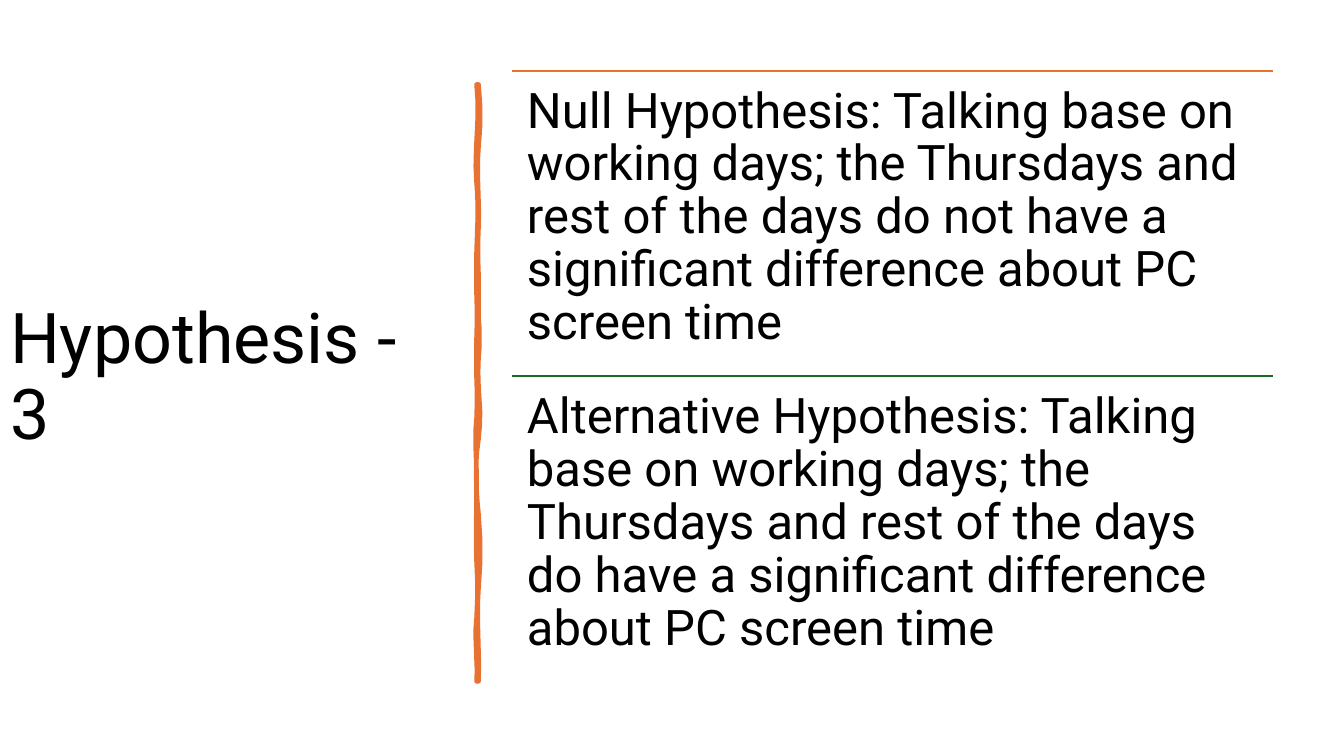
from lxml import etree
from pptx import Presentation
from pptx.dml.color import RGBColor
from pptx.enum import shapes, text
from pptx.oxml import ns
from pptx.util import Cm, Pt

ORANGE = RGBColor(0xE9, 0x71, 0x32)
GREEN = RGBColor(0x19, 0x6B, 0x24)
BLACK = RGBColor(0, 0, 0)


def write(frame, words, size):
    frame.word_wrap = True
    paragraph = frame.paragraphs[0]
    paragraph.alignment = text.PP_ALIGN.LEFT
    paragraph.line_spacing = 0.9
    run = paragraph.add_run()
    run.text = words
    run.font.name = "Roboto"
    run.font.size = Pt(size)
    run.font.color.rgb = BLACK


def wavy_edge(x, heights, bends, steps=6):
    points = [(x, heights[0])]
    for top, bottom, (first, second) in zip(heights, heights[1:], bends):
        for step in range(1, steps + 1):
            t = step / steps
            bend = 3 * t * (1 - t) * ((1 - t) * (first - x) + t * (second - x))
            points.append((x + bend, top + t * (bottom - top)))
    return points


presentation = Presentation()
presentation.slide_width = Cm(33.87)
presentation.slide_height = Cm(19.05)
slide = presentation.slides.add_slide(presentation.slide_layouts[5])

title = slide.shapes.title
title.left, title.top, title.width, title.height = Cm(0), Cm(1.78), Cm(11.25), Cm(15.52)
title.text_frame.vertical_anchor = text.MSO_ANCHOR.MIDDLE
title.text_frame.auto_size = text.MSO_AUTO_SIZE.NONE
write(title.text_frame, "Hypothesis - 3", 50)

right_edge = wavy_edge(
    1206,
    [213, 371, 574, 747, 904, 1107, 1295, 1483, 1717],
    [(1212, 1212), (1201, 1209), (1204, 1206), (1204, 1212),
     (1201, 1217), (1196, 1199), (1212, 1212), (1201, 1209)],
)
left_edge = wavy_edge(
    1201,
    [1717, 1557, 1415, 1212, 1054, 851, 635, 460, 213],
    [(1204, 1196), (1204, 1204), (1199, 1201), (1201, 1196),
     (1204, 1199), (1204, 1199), (1204, 1206), (1194, 1212)],
)
outline = right_edge + left_edge
builder = slide.shapes.build_freeform(*outline[0], scale=Cm(0.01))
builder.add_line_segments(outline[1:], close=True)
divider = builder.convert_to_shape()
divider.shadow.inherit = False
divider.fill.solid()
divider.fill.fore_color.rgb = ORANGE
divider.line.color.rgb = ORANGE
divider.line.width = Pt(3.25)
etree.SubElement(divider.line._get_or_add_ln(), ns.qn("a:round"))

hypotheses = [
    (ORANGE, "Null Hypothesis: Talking base on working days; the Thursdays and rest of "
             "the days do not have a significant difference about PC screen time"),
    (GREEN, "Alternative Hypothesis: Talking base on working days; the Thursdays and rest of "
            "the days do have a significant difference about PC screen time"),
]
left, width, height = Cm(12.9), Cm(19.18), Cm(7.7)
for index, (color, words) in enumerate(hypotheses):
    top = Cm(1.78) + index * height
    rule = slide.shapes.add_connector(
        shapes.MSO_CONNECTOR.STRAIGHT, left, top, left + width, top)
    rule.line.color.rgb = color
    rule.line.width = Pt(1.5)
    etree.SubElement(rule._element.spPr, ns.qn("a:effectLst"))

    box = slide.shapes.add_textbox(left, top, width, height)
    frame = box.text_frame
    frame.margin_left = frame.margin_right = Cm(0.38)
    frame.margin_top = frame.margin_bottom = Cm(0.38)
    write(frame, words, 35)

presentation.save("out.pptx")
